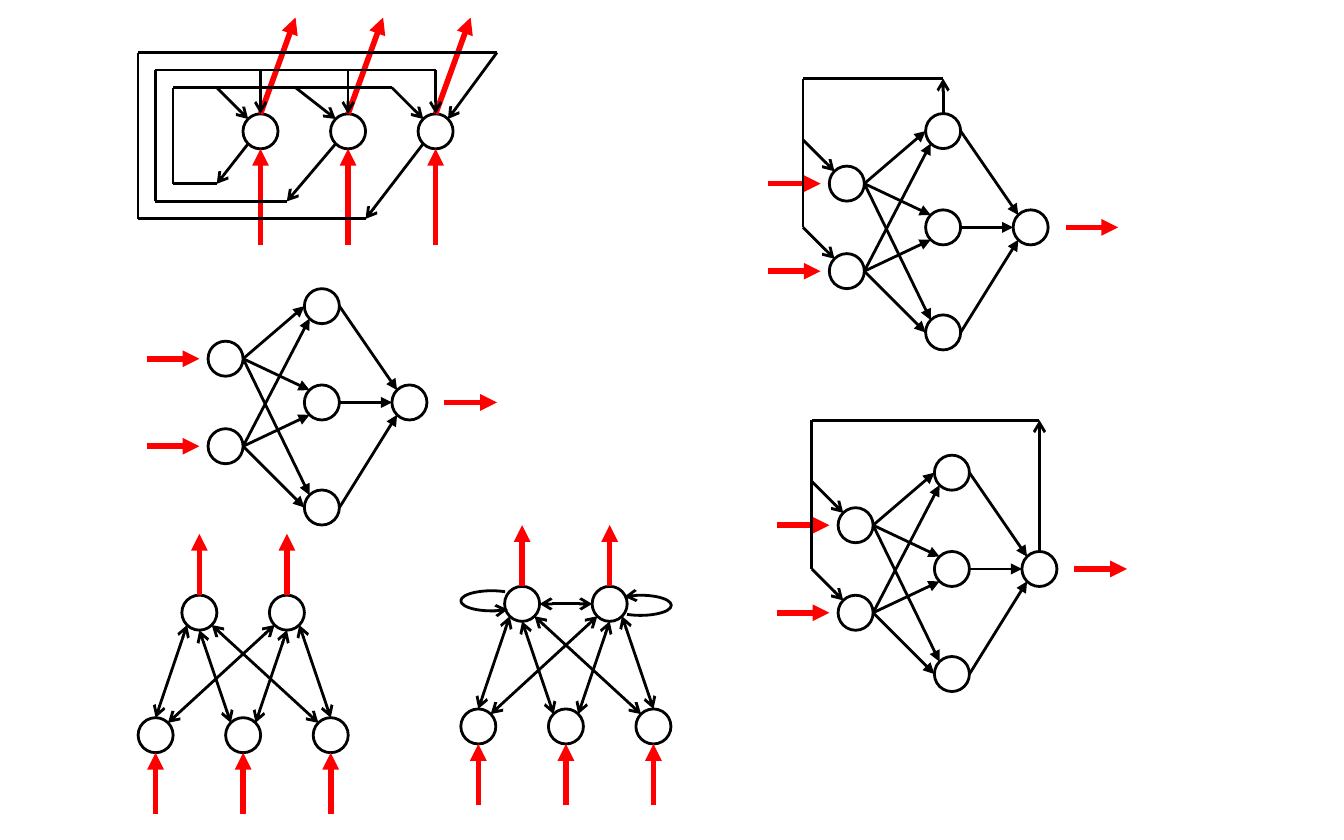
from dataclasses import dataclass

from lxml.etree import SubElement
from pptx import Presentation
from pptx.dml.color import RGBColor
from pptx.enum.shapes import MSO_CONNECTOR as Connector, MSO_SHAPE as Shape
from pptx.oxml.ns import qn
from pptx.util import Pt


@dataclass
class Theme:
    ink: RGBColor = RGBColor(0, 0, 0)
    signal: RGBColor = RGBColor(255, 0, 0)
    thin: float = 1.5
    thick: float = 3
    unit: float = 4.69
    node: float = 4


THEME = Theme()

STYLES = {
    "signal": (THEME.signal, THEME.thick, None, "triangle"),
    "synapse": (THEME.ink, THEME.thin, None, "triangle"),
    "feedback": (THEME.ink, THEME.thin, None, "arrow"),
    "mutual": (THEME.ink, THEME.thin, "arrow", "arrow"),
    "wire": (THEME.ink, THEME.thin, None, None),
}

SITES = {
    "n": (2, 0), "e": (4, 2), "s": (2, 4), "w": (0, 2),
    "nw": (0.59, 0.59), "ne": (3.41, 0.59), "sw": (0.59, 3.41), "se": (3.41, 3.41),
}

LAYERED_NODES = {
    "in1": (0, 0), "in2": (0, 10),
    "hid1": (11, -6), "hid2": (11, 5), "hid3": (11, 17), "out": (21, 5),
}
LAYERED_LINKS = [
    ("signal", (-7, 2), (-1, 2)), ("signal", (-7, 12), (-1, 12)),
    ("signal", (27, 7), (33, 7)),
    ("synapse", "in1.e", "hid1.w"), ("synapse", "in1.e", "hid2.nw"),
    ("synapse", "in1.e", "hid3.nw"), ("synapse", "in2.e", "hid1.sw"),
    ("synapse", "in2.e", "hid2.sw"), ("synapse", "in2.e", "hid3.w"),
    ("synapse", "hid1.e", "out.nw"), ("synapse", "hid2.e", "out.w"),
    ("synapse", "hid3.e", "out.sw"),
]


def feedback_links(source, column):
    return [
        ("wire", (-3, 7), (-3, -10)), ("wire", (column, -10), (-3, -10)),
        ("feedback", (-3, -3), "in1.nw"), ("feedback", (-3, 7), "in2.nw"),
        ("feedback", source, (column, -10)),
    ]


RECURRENT_NODES = {"n1": (0, 0), "n2": (10, 0), "n3": (20, 0)}
RECURRENT_LOOPS = [
    ("n1.sw", (-3, 8), (-8, 8), (-8, -3), (17, -3), "n3.nw"),
    ("n2.sw", (5, 10), (-10, 10), (-10, -5), (22, -5), "n3.n"),
    ("n3.sw", (14, 12), (-12, 12), (-12, -7), (29, -7), "n3.ne"),
]
RECURRENT_LINKS = [
    link for x in (2, 12, 22)
    for link in (("signal", (x, 0), (x + 4, -11)), ("signal", (x, 15), (x, 4)))
] + [
    ("feedback", (-3, -3), "n1.nw"), ("feedback", (6, -3), "n2.nw"),
    ("feedback", (2, -5), "n1.n"), ("feedback", (12, -5), "n2.n"),
]
for loop in RECURRENT_LOOPS:
    last = len(loop) - 2
    for step, (start, end) in enumerate(zip(loop, loop[1:])):
        RECURRENT_LINKS.append(("feedback" if step in (0, last) else "wire", start, end))

TWO_WAY_NODES = {
    "low1": (0, 0), "low2": (10, 0), "low3": (20, 0), "up1": (5, -14), "up2": (15, -14),
}
TWO_WAY_LINKS = [
    ("signal", (x, 11), (x, 4)) for x in (2, 12, 22)
] + [
    ("signal", (x, -14), (x, -21)) for x in (7, 17)
] + [
    ("mutual", "low1.n", "up1.sw"), ("mutual", "low2.nw", "up1.s"),
    ("mutual", "low3.n", "up2.se"), ("mutual", "low2.ne", "up2.s"),
    ("mutual", "low1.ne", "up2.sw"), ("mutual", "low3.nw", "up1.se"),
]
SELF_LOOPS = [(0, -13.5, 0), (17, -13, 180)]

NETWORKS = [
    ((111.5, 182.8), LAYERED_NODES, LAYERED_LINKS, []),
    ((444.3, 89), LAYERED_NODES, LAYERED_LINKS + feedback_links("hid1.n", 13), []),
    ((449, 272), LAYERED_NODES, LAYERED_LINKS + feedback_links("out.n", 23), []),
    ((130.2, 61), RECURRENT_NODES, RECURRENT_LINKS, []),
    ((74, 384.5), TWO_WAY_NODES, TWO_WAY_LINKS, []),
    ((246.9, 379.8), TWO_WAY_NODES,
     TWO_WAY_LINKS + [("mutual", "up1.e", "up2.w")], SELF_LOOPS),
]


def draw_stroke(shape, style):
    color, width, head, tail = STYLES[style]
    shape.line.color.rgb = color
    shape.line.width = Pt(width)
    ln = shape._element.spPr.find(qn("a:ln"))
    for tag, kind in (("a:headEnd", head), ("a:tailEnd", tail)):
        if kind:
            SubElement(ln, qn(tag)).set("type", kind)


def add_outline(group, preset, x, y, width, height):
    outline = group.shapes.add_shape(preset, x, y, width, height)
    outline.shadow.inherit = False
    outline.fill.background()
    return outline


def draw_network(slide, origin, nodes, links, self_loops):
    group = slide.shapes.add_group_shape()

    def place(x, y):
        return [Pt(base + THEME.unit * step) for base, step in zip(origin, (x, y))]

    def locate(point):
        if isinstance(point, str):
            node, site = point.split(".")
            point = [a + b for a, b in zip(nodes[node], SITES[site])]
        return place(*point)

    diameter = Pt(THEME.unit * THEME.node)
    for corner in nodes.values():
        neuron = add_outline(group, Shape.OVAL, *place(*corner), diameter, diameter)
        draw_stroke(neuron, "wire")
    for style, start, end in links:
        link = group.shapes.add_connector(Connector.STRAIGHT, *locate(start), *locate(end))
        draw_stroke(link, style)
        SubElement(link._element.spPr, qn("a:effectLst"))
    for x, y, turn in self_loops:
        arc = add_outline(group, Shape.ARC, *place(x, y), Pt(33), Pt(10.8))
        arc.adjustments[0] = 16.84
        arc.adjustments[1] = 195.67
        arc.rotation = turn
        draw_stroke(arc, "wire")
        ln = arc._element.spPr.find(qn("a:ln"))
        SubElement(ln, qn("a:headEnd")).set("type", "arrow")


def main():
    deck = Presentation()
    deck.slide_width, deck.slide_height = Pt(720), Pt(450)
    slide = deck.slides.add_slide(deck.slide_layouts[6])
    for network in NETWORKS:
        draw_network(slide, *network)
    deck.save("out.pptx")


if __name__ == "__main__":
    main()
